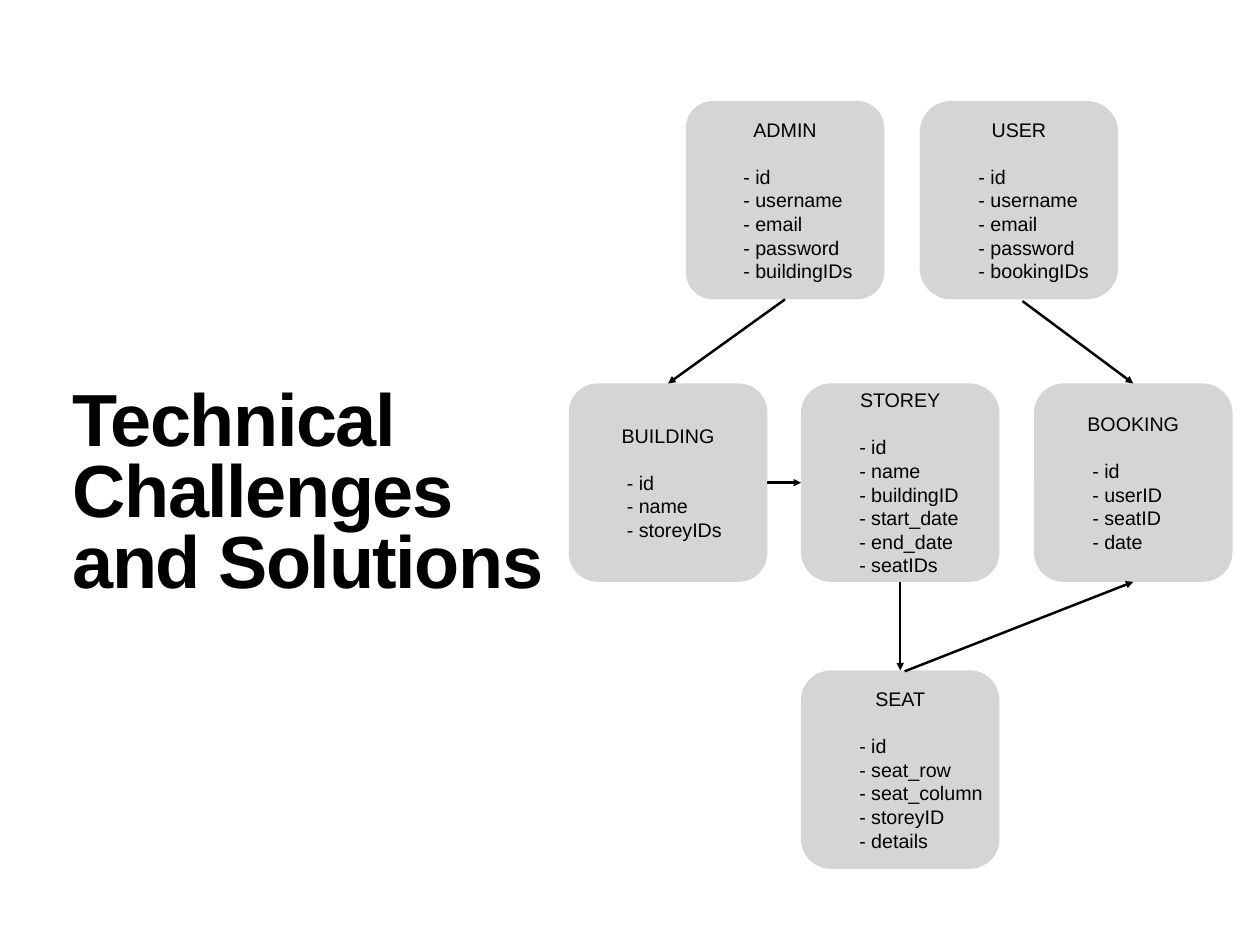
"""Build the data model slide with its title, entity boxes and arrows."""
from lxml.etree import SubElement
from pptx import Presentation
from pptx.dml.color import RGBColor
from pptx.enum.shapes import MSO_CONNECTOR as CONN, MSO_SHAPE as SHAPE
from pptx.enum.text import MSO_ANCHOR as ANCHOR, MSO_AUTO_SIZE as AUTO, PP_ALIGN as ALIGN
from pptx.oxml.ns import qn
from pptx.util import Inches, Pt

COLORS = {"text": "000000", "box": "D5D5D5", "line": "000000"}
BOX = 2.24
TOP, LEFT, BOTTOM, RIGHT = range(4)


def add_text(tf, text, size=16, bold=False, align=ALIGN.LEFT, after=0,
             spacing=1.0, tracking=None, indent=0):
    p = tf.paragraphs[0] if not tf.text else tf.add_paragraph()
    p.alignment, p.line_spacing = align, spacing
    p.space_before, p.space_after = Pt(0), Pt(after)
    if indent:
        p.level = 1
        pPr = p._p.get_or_add_pPr()
        pPr.set("marL", str(Inches(indent)))
        pPr.set("indent", "0")
    r = p.add_run()
    r.text = text
    r.font.name, r.font.size, r.font.bold = "Arial", Pt(size), bold
    r.font.color.rgb = RGBColor.from_string(COLORS["text"])
    if tracking:
        r.font._element.set("spc", str(round(tracking * 100)))


def set_frame(tf, anchor):
    tf.word_wrap, tf.auto_size, tf.vertical_anchor = True, AUTO.NONE, anchor
    tf.margin_left = tf.margin_right = tf.margin_top = tf.margin_bottom = Inches(0.06)


prs = Presentation()
prs.slide_width, prs.slide_height = Inches(14.22), Inches(10.67)
s = prs.slides.add_slide(prs.slide_layouts[5])

title = s.shapes.title
title.left, title.top = Inches(0.76), Inches(4.04)
title.width, title.height = Inches(5.58), Inches(2.82)
set_frame(title.text_frame, ANCHOR.BOTTOM)
add_text(title.text_frame, "Technical Challenges and Solutions", size=60,
         bold=True, spacing=0.8, tracking=-1.2)

entities = [
    ("ADMIN", 7.74, 1.14, 0.137, ["id", "username", "email", "password", "buildingIDs"]),
    ("USER", 10.38, 1.14, 0.158, ["id", "username", "email", "password", "bookingIDs"]),
    ("BUILDING", 6.42, 4.33, 0.145, ["id", "name", "storeyIDs"]),
    ("STOREY", 9.04, 4.33, 0.15,
     ["id", "name", "buildingID", "start_date", "end_date", "seatIDs"]),
    ("BOOKING", 11.67, 4.33, 0.15, ["id", "userID", "seatID", "date"]),
    ("SEAT", 9.04, 7.57, 0.15, ["id", "seat_row", "seat_column", "storeyID", "details"]),
]
boxes = {}
for name, x, y, corner, fields in entities:
    sp = s.shapes.add_shape(SHAPE.ROUNDED_RECTANGLE, Inches(x), Inches(y),
                            Inches(BOX), Inches(BOX))
    sp.adjustments[0] = corner
    sp.shadow.inherit = False
    sp.fill.solid()
    sp.fill.fore_color.rgb = RGBColor.from_string(COLORS["box"])
    sp.line.fill.background()
    tf = sp.text_frame
    set_frame(tf, ANCHOR.MIDDLE)
    add_text(tf, name, align=ALIGN.CENTER, after=19)
    for field in fields:
        add_text(tf, f"- {field}", indent=0.5)
    boxes[name] = sp

arrows = [
    (8.84, 3.39, 7.53, 4.33, ("ADMIN", BOTTOM), ("BUILDING", TOP)),
    (8.67, 5.45, 9.06, 5.45, ("BUILDING", RIGHT), ("STOREY", LEFT)),
    (10.17, 6.56, 10.17, 7.58, ("STOREY", BOTTOM), ("SEAT", TOP)),
    (10.21, 7.58, 12.79, 6.58, None, ("BOOKING", BOTTOM)),
    (11.54, 3.4, 12.77, 4.33, None, ("BOOKING", TOP)),
]
for x1, y1, x2, y2, start, end in arrows:
    cn = s.shapes.add_connector(CONN.STRAIGHT, Inches(x1), Inches(y1),
                                Inches(x2), Inches(y2))
    if start:
        cn.begin_connect(boxes[start[0]], start[1])
    cn.end_connect(boxes[end[0]], end[1])
    cn.line.width = Pt(2)
    cn.line.color.rgb = RGBColor.from_string(COLORS["line"])
    SubElement(cn.line._get_or_add_ln(), qn("a:tailEnd"), type="triangle")
    SubElement(cn._element.spPr, qn("a:effectLst"))

prs.save("out.pptx")
